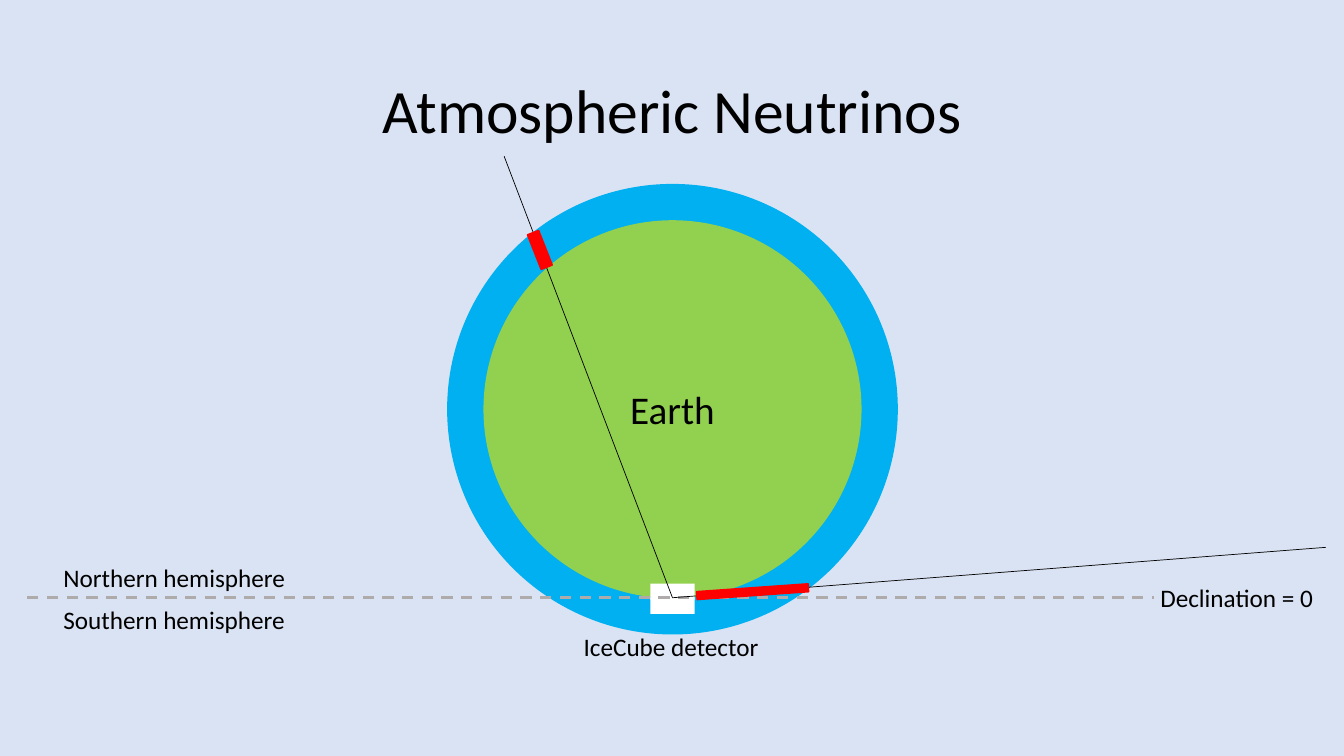
from pptx import Presentation
from pptx.util import Inches, Pt
from pptx.dml.color import RGBColor
from pptx.enum.shapes import MSO_SHAPE as Shape, MSO_CONNECTOR as Conn
from pptx.enum.text import PP_ALIGN as Align, MSO_ANCHOR as Anchor
from pptx.enum.text import MSO_AUTO_SIZE as Fit
from pptx.enum.dml import MSO_LINE as Dash
from pptx.oxml.ns import qn
from lxml import etree

# Content
TITLE = ("Atmospheric Neutrinos", (0.92, 0.4, 11.5, 1.45))
EARTH = "Earth"
LABELS = [  # text, left, top, width
    ("Declination = 0", 11.41, 5.73, 1.74),
    ("IceCube detector", 5.69, 6.21, 1.96),
    ("Northern hemisphere", 0.53, 5.53, 2.43),
    ("Southern hemisphere", 0.53, 5.95, 2.43),
]
MID = (6.67, 4.06)  # centre of the globe
AIR_R, EARTH_R = 2.235, 1.875
HORIZON = (0.27, 11.45)  # left and right ends
SOURCES = [(13.15, 5.43), (5, 1.55)]  # where the neutrinos come from
PATHS = [  # part of each track in the air: box, rotation
    ((5.17, 2.42, 0.37, 0.12), 68.5),
    ((6.91, 5.83, 1.11, 0.08), 356),
]
BOX_W, BOX_H, BOX_GAP = 0.44, 0.16, 0.14

THEME = {
    "font": "Calibri", "title": 44, "earth": 28, "label": 18,
    "bg": "DAE3F3", "air": "00B0F0", "land": "92D050", "box": "FFFFFF",
    "dash": "AFABAB", "ink": "000000", "path": "FF0000",
}


def color(name):
    return RGBColor.from_string(THEME[name])


def write(shape, text, size, **form):
    frame = shape.text_frame
    para = frame.paragraphs[0]
    run = para.add_run()
    run.text = text
    font = {"name": THEME["font"], "size": Pt(THEME[size])}
    for key, val in font.items():
        setattr(run.font, key, val)
    run.font.color.rgb = color("ink")
    for key, val in form.items():
        owner = para if key in ("alignment", "line_spacing") else frame
        setattr(owner, key, val)


def draw(kind, box, fill, edge=None, turn=0):
    shape = slide.shapes.add_shape(kind, *map(Inches, box))
    shape.shadow.inherit = False
    shape.rotation = turn
    shape.fill.solid()
    shape.fill.fore_color.rgb = color(fill)
    if edge:
        shape.line.color.rgb = color(fill)
        shape.line.width = Pt(edge)
    else:
        shape.line.fill.background()
    return shape


def disc(radius, fill):
    x, y = MID
    return draw(Shape.OVAL, (x - radius, y - radius, 2 * radius, 2 * radius), fill)


def link(start, end, ink, width, dash=None):
    line = slide.shapes.add_connector(
        Conn.STRAIGHT, *map(Inches, (*start, *end)))
    form = {"width": Pt(width), "dash_style": dash}
    for key, val in form.items():
        setattr(line.line, key, val)
    line.line.color.rgb = color(ink)
    etree.SubElement(line._element.spPr, qn("a:effectLst"))


def label(text, box, size, **form):
    write(slide.shapes.add_textbox(*map(Inches, box)), text, size, **form)


# Slide
deck = Presentation()
deck.slide_width, deck.slide_height = Inches(13.33), Inches(7.5)
slide = deck.slides.add_slide(deck.slide_layouts[6])
slide.background.fill.solid()
slide.background.fill.fore_color.rgb = color("bg")
ground = round(MID[1] + EARTH_R, 2)
site = (MID[0], ground)

# Atmosphere, title and globe
disc(AIR_R, "air")
label(*TITLE, "title", word_wrap=True, vertical_anchor=Anchor.MIDDLE,
      alignment=Align.CENTER, line_spacing=0.9)
write(disc(EARTH_R, "land"), EARTH, "earth",
      vertical_anchor=Anchor.MIDDLE, alignment=Align.CENTER)

# Detector, in two overlapping halves
for top in (ground, ground - BOX_GAP):
    draw(Shape.RECTANGLE, (site[0] - BOX_W / 2, top, BOX_W, BOX_H), "box")

# Horizon and labels
link((HORIZON[0], ground), (HORIZON[1], ground), "dash", 2, Dash.DASH)
for text, left, top, wide in LABELS:
    label(text, (left, top, wide, 0.4), "label",
          word_wrap=False, auto_size=Fit.SHAPE_TO_FIT_TEXT)

# Neutrino tracks and their path through the air
for source in SOURCES:
    link(site, source, "ink", 0.5)
for box, turn in PATHS:
    draw(Shape.RECTANGLE, box, "path", edge=1, turn=turn)

deck.save("out.pptx")
